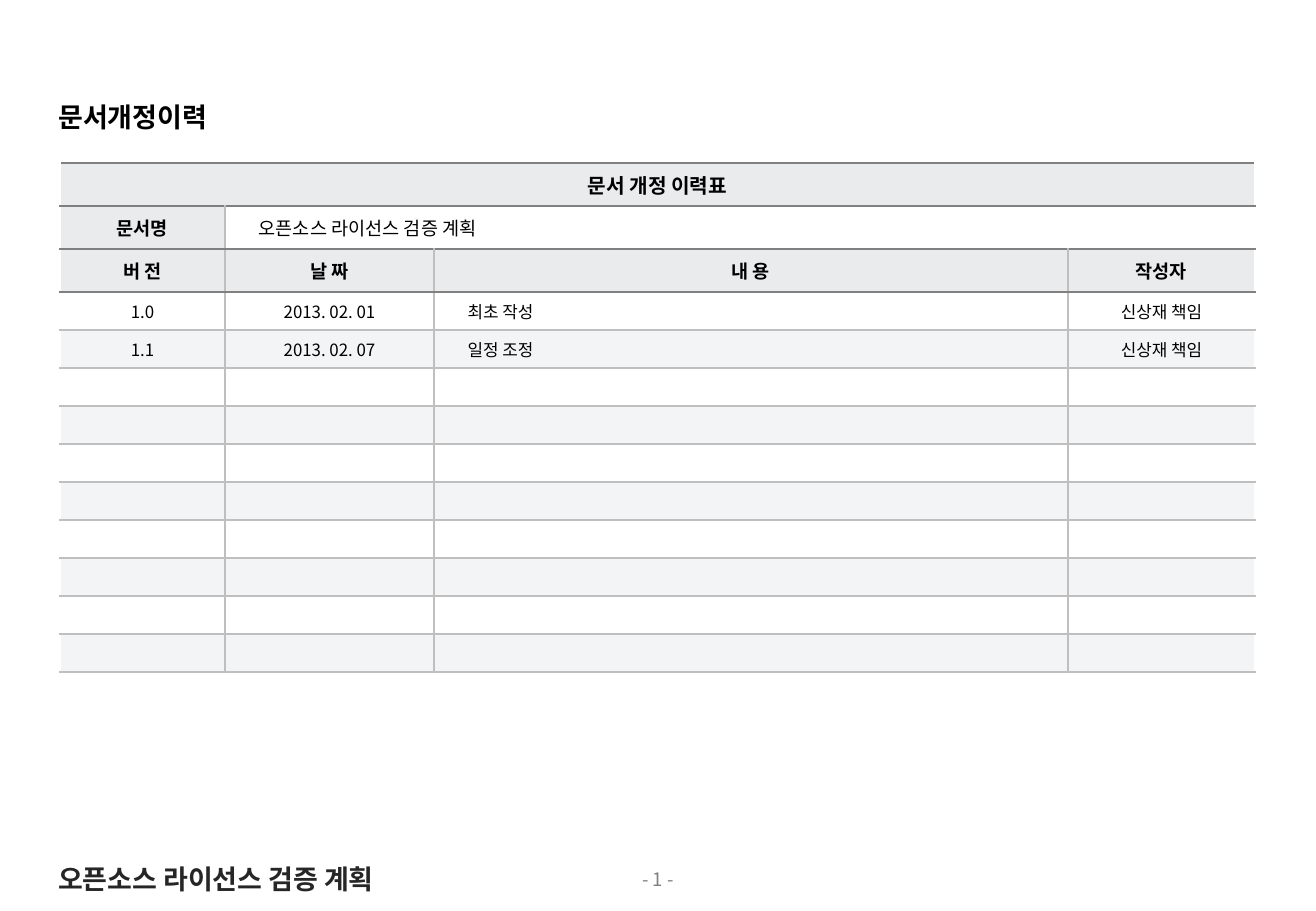
import pptx
import pptx.dml.color
import pptx.enum.text
import pptx.oxml.ns
import pptx.util
from lxml import etree

Pt = pptx.util.Pt
ALIGN = pptx.enum.text.PP_ALIGN
ANCHOR = pptx.enum.text.MSO_ANCHOR
qn = pptx.oxml.ns.qn

FONT = "Noto Sans CJK KR"
DOCUMENT = "오픈소스 라이선스 검증 계획"
HEADER_FILL, BAND_FILL = "E9EBED", "F3F4F5"
DARK_LINE, LIGHT_LINE, EDGE_LINE = "808080", "BFBFBF", "FFFFFF"
COLUMN_WIDTHS = [97.9, 123.8, 375.8, 110.9]
HEADER_ROWS, HEADER_HEIGHT, ENTRY_HEIGHT = 3, 25.5, 22.55
ROWS = [
    ["문서 개정 이력표"],
    ["문서명", DOCUMENT],
    ["버 전", "날 짜", "내 용", "작성자"],
    ["1.0", "2013. 02. 01", "최초 작성", "신상재 책임"],
    ["1.1", "2013. 02. 07", "일정 조정", "신상재 책임"],
] + [[""] * 4] * 8


def color(value):
    return pptx.dml.color.RGBColor.from_string(value)


def write(frame, text, size, shade="000000", bold=False, align=ALIGN.LEFT):
    para = frame.paragraphs[0]
    para.text = text
    para.alignment = align
    font = para.font
    font.size, font.bold, font.name = Pt(size), bold, FONT
    font.color.rgb = color(shade)
    properties = para._p.pPr.find(qn("a:defRPr"))
    etree.SubElement(properties, qn("a:ea"), typeface=FONT)
    if not text:
        para._p.get_or_add_endParaRPr().set("sz", str(size * 100))


def place(box, left, top, width, height):
    box.left, box.top, box.width, box.height = map(Pt, (left, top, width, height))
    frame = box.text_frame
    frame.auto_size = pptx.enum.text.MSO_AUTO_SIZE.NONE
    frame.word_wrap = False
    frame.vertical_anchor = ANCHOR.TOP
    return frame


def add_label(page, text, left, top, width, height, **style):
    box = page.shapes.add_textbox(0, 0, 0, 0)
    write(place(box, left, top, width, height), text, **style)


def set_borders(cell, **sides):
    properties = cell._tc.get_or_add_tcPr()
    for side in "LRTB":
        line = etree.SubElement(properties, qn("a:ln" + side), w=str(Pt(1)))
        fill = etree.SubElement(line, qn("a:solidFill"))
        etree.SubElement(fill, qn("a:srgbClr"), val=sides[side])


def format_cell(cell, row, column, last_column):
    """Set the borders, fill and margins that the grid position calls for."""
    set_borders(
        cell,
        L=EDGE_LINE if column == 0 else LIGHT_LINE,
        R=EDGE_LINE if last_column == 3 else LIGHT_LINE,
        T=DARK_LINE if row <= HEADER_ROWS else LIGHT_LINE,
        B=DARK_LINE if row < HEADER_ROWS else LIGHT_LINE,
    )
    is_name = (row, column) == (1, 1)
    if row < HEADER_ROWS and not is_name:
        cell.fill.solid()
        cell.fill.fore_color.rgb = color(HEADER_FILL)
    elif row > HEADER_ROWS and row % 2 == 0:
        cell.fill.solid()
        cell.fill.fore_color.rgb = color(BAND_FILL)
    else:
        cell.fill.background()
    indented = is_name or (row >= HEADER_ROWS and column == 2)
    cell.margin_left = Pt(20 if indented else 4.5)
    cell.margin_right = Pt(4.5)
    cell.margin_top = cell.margin_bottom = Pt(2)
    cell.vertical_anchor = ANCHOR.MIDDLE
    return ALIGN.LEFT if indented else ALIGN.CENTER


def add_history_table(page, left, top):
    heights = [HEADER_HEIGHT if row < HEADER_ROWS else ENTRY_HEIGHT
               for row in range(len(ROWS))]
    table = page.shapes.add_table(
        len(ROWS), len(COLUMN_WIDTHS), Pt(left), Pt(top),
        Pt(sum(COLUMN_WIDTHS)), Pt(sum(heights))).table
    for column, width in zip(table.columns, COLUMN_WIDTHS):
        column.width = Pt(width)
    for row, texts in enumerate(ROWS):
        table.rows[row].height = Pt(heights[row])
        last_text = len(texts) - 1
        if last_text < 3:
            table.cell(row, last_text).merge(table.cell(row, 3))
        for column in range(len(COLUMN_WIDTHS)):
            cell = table.cell(row, column)
            last_column = 3 if column >= last_text else column
            align = format_cell(cell, row, column, last_column)
            if column <= last_text:
                size = 12 if row == 0 else 11 if row < HEADER_ROWS else 10
                bold = row < HEADER_ROWS and (row, column) != (1, 1)
                write(cell.text_frame, texts[column], size, bold=bold, align=align)


def main():
    deck = pptx.Presentation()
    deck.slide_width, deck.slide_height = Pt(780), Pt(540)
    page = deck.slides.add_slide(deck.slide_layouts[5])
    title = place(page.shapes.title, 27.4, 56.2, 111.6, 26.6)
    write(title, "문서개정이력", 16, bold=True)
    add_history_table(page, 35.5, 96.6)
    add_label(page, "- 1 -", 0, 511.2, 780, 20.9,
              size=11, shade="808080", align=ALIGN.CENTER)
    add_label(page, DOCUMENT, 27.4, 507.6, 225.4, 26.6,
              size=16, shade="262626", bold=True)
    deck.save("out.pptx")


if __name__ == "__main__":
    main()
